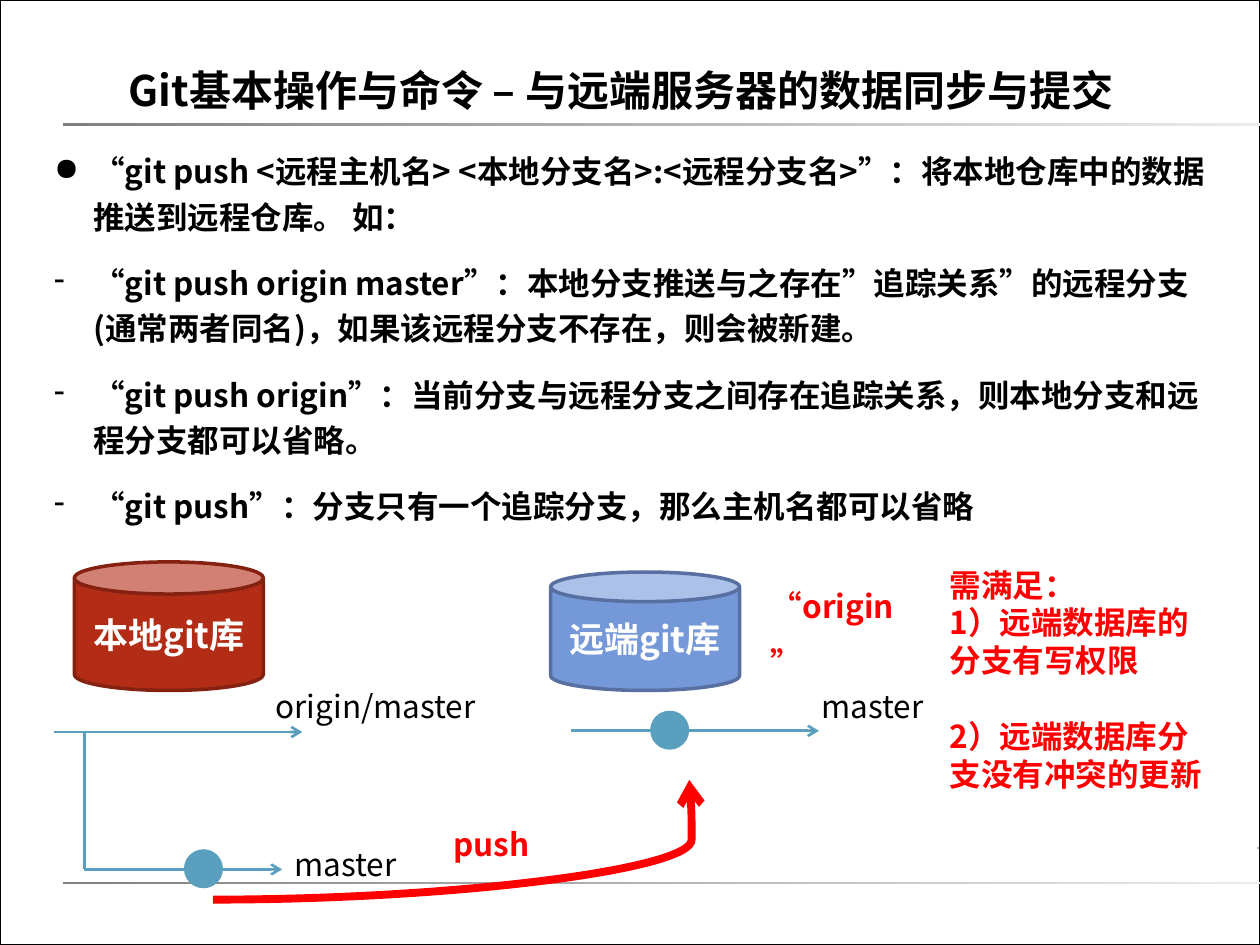
import pptx
import pptx.util
import pptx.dml.color
import pptx.enum.shapes
import pptx.enum.text
import pptx.oxml.ns
from lxml import etree

Pt = pptx.util.Pt
RGB = pptx.dml.color.RGBColor.from_string
SHAPE = pptx.enum.shapes.MSO_SHAPE
CONNECTOR = pptx.enum.shapes.MSO_CONNECTOR
ALIGN = pptx.enum.text.PP_ALIGN
ANCHOR = pptx.enum.text.MSO_ANCHOR
qn = pptx.oxml.ns.qn

THEME = {
    "font": "Noto Sans CJK SC",
    "title": 24, "store": 20, "text": 18,
    "ink": "000000", "paper": "FFFFFF", "accent": "FF0000", "branch": "5AA0BE",
    "rule": "808080", "rule_end": "EBEBEB", "tick_end": "D7D7D7",
    "local": ("B32C16", "842110"), "remote": ("7598D9", "5770A1"),
}

deck = pptx.Presentation()
deck.slide_width, deck.slide_height = pptx.util.Inches(10), pptx.util.Inches(7.5)
slide = deck.slides.add_slide(deck.slide_layouts[5])
shapes = slide.shapes
slide.background.fill.solid()
slide.background.fill.fore_color.rgb = RGB(THEME["paper"])


def grid(*cells):
    """Lengths on a grid of 100 columns by 75 rows."""
    return [round(cell * deck.slide_width / 100) for cell in cells]


def write(frame, lines, size="text", color="ink", bold=True, spacing=1.0,
          before=0, align=ALIGN.LEFT, inset=None, anchor=ANCHOR.TOP, hanging=0):
    frame.word_wrap = True
    frame.auto_size = pptx.enum.text.MSO_AUTO_SIZE.NONE
    frame.vertical_anchor = anchor
    if inset is not None:
        frame.margin_left = frame.margin_right = inset
        frame.margin_top = frame.margin_bottom = inset
    frame.text = "\n".join(lines)
    for paragraph in frame.paragraphs:
        paragraph.alignment = align
        paragraph.line_spacing = spacing
        paragraph.space_before = Pt(before)
        font = paragraph.font
        font.size, font.bold, font.name = Pt(THEME[size]), bold, THEME["font"]
        font.color.rgb = RGB(THEME[color])
        properties = paragraph.runs[0].font
        properties.name = THEME["font"]
        east_asian = etree.SubElement(paragraph.runs[0]._r.rPr, qn("a:ea"))
        east_asian.set("typeface", THEME["font"])
        if hanging:
            indent = grid(hanging)[0]
            paragraph._p.pPr.set("marL", str(indent))
            paragraph._p.pPr.set("indent", str(-indent))


# Page border
border = shapes.add_shape(SHAPE.RECTANGLE, *grid(0, 0, 100, 75))
border.shadow.inherit = False
border.fill.background()
border.line.color.rgb = RGB(THEME["ink"])
border.line.width = Pt(1)

# Fading rules
for cells, end in [((99.8, 67.2, 0.1, 0.2), "tick_end"),
                   ((5, 9.8, 95.3, 0.2), "rule_end"),
                   ((5, 70, 95.3, 0.2), "rule_end")]:
    rule = shapes.add_shape(SHAPE.RECTANGLE, *grid(*cells))
    rule.shadow.inherit = False
    rule.line.fill.background()
    rule.fill.gradient()
    rule.fill.gradient_angle = 0
    for stop, color in zip(rule.fill.gradient_stops, ("rule", end)):
        stop.color.rgb = RGB(THEME[color])

# Title
title = shapes.title
title.left, title.top, title.width, title.height = grid(10.2, 5.1, 89.8, 4)
write(title.text_frame, ["Git基本操作与命令 – 与远端服务器的数据同步与提交"], "title",
      spacing=1.2, before=12, inset=0, anchor=ANCHOR.BOTTOM, hanging=3.1)

# Push command forms
commands = shapes.add_textbox(*grid(4.3, 11.5, 92.9, 32.3)).text_frame
write(commands, [
    "“git push <远程主机名> <本地分支名>:<远程分支名>”：将本地仓库中的数据推送到远程仓库。 如：",
    "“git push origin master”：本地分支推送与之存在”追踪关系”的远程分支(通常两者同名)，如果该远程分支不存在，则会被新建。",
    "“git push origin”：当前分支与远程分支之间存在追踪关系，则本地分支和远程分支都可以省略。",
    "“git push”：分支只有一个追踪分支，那么主机名都可以省略",
], spacing=1.2, before=12, inset=0, hanging=3.1)
for paragraph, mark in zip(commands.paragraphs, "●---"):
    etree.SubElement(paragraph._p.pPr, qn("a:buChar")).set("char", mark)

# Conditions for pushing
conditions = shapes.add_textbox(*grid(74.4, 44.4, 22.8, 19.2)).text_frame
write(conditions, ["需满足：", "1）远端数据库的分支有写权限", "2）远端数据库分支没有冲突的更新"],
      color="accent")
conditions.paragraphs[2].space_before = Pt(21.6)

# Repositories
for cells, label, colors in [((5.9, 44.6, 15, 10.2), "本地git库", "local"),
                             ((43.7, 45.4, 15, 9.4), "远端git库", "remote")]:
    store = shapes.add_shape(SHAPE.CAN, *grid(*cells))
    store.shadow.inherit = False
    fill, outline = THEME[colors]
    store.fill.solid()
    store.fill.fore_color.rgb = RGB(fill)
    store.line.color.rgb = RGB(outline)
    store.line.width = Pt(2)
    write(store.text_frame, [label], "store", "paper", align=ALIGN.CENTER,
          inset=0, anchor=ANCHOR.MIDDLE)

# Branch lines and the push arrow
for kind, ends, color, width, arrow in [
    (CONNECTOR.STRAIGHT, (45.3, 58, 65, 58), "branch", 1.5, True),
    (CONNECTOR.STRAIGHT, (4.3, 58.1, 24, 58.1), "branch", 1.5, True),
    (CONNECTOR.STRAIGHT, (6.7, 69, 22.4, 69), "branch", 1.5, True),
    (CONNECTOR.STRAIGHT, (6.7, 58, 6.7, 69), "branch", 1.5, False),
    (CONNECTOR.CURVE, (16.9, 71.4, 54.7, 61.9), "accent", 4.5, True),
]:
    link = shapes.add_connector(kind, *grid(*ends))
    link.line.color.rgb = RGB(THEME[color])
    link.line.width = Pt(width)
    if arrow:
        etree.SubElement(link.line._get_or_add_ln(), qn("a:tailEnd")).set("type", "arrow")
    etree.SubElement(link._element.spPr, qn("a:effectLst"))
    if kind == CONNECTOR.CURVE:
        bend = etree.SubElement(link._element.spPr.find(".//" + qn("a:avLst")), qn("a:gd"))
        bend.set("name", "adj1")
        bend.set("fmla", "val 100500")

# Commits
for left, top in [(51.6, 56.4), (14.6, 67.4)]:
    commit = shapes.add_shape(SHAPE.OVAL, *grid(left, top, 3.1, 3.1))
    commit.shadow.inherit = False
    commit.fill.solid()
    commit.fill.fore_color.rgb = RGB(THEME["branch"])
    commit.line.fill.background()

# Diagram labels
for cells, label, color in [
    ((60.2, 44.6, 14.2, 5.5), "“origin”", "accent"),
    ((64.2, 52.5, 14.2, 4.7), "master", "ink"),
    ((20.9, 52.5, 22, 3.9), "origin/master", "ink"),
    ((22.4, 65.1, 14.2, 4.7), "master", "ink"),
    ((35, 63.5, 14.2, 5.5), "push", "accent"),
]:
    caption = shapes.add_textbox(*grid(*cells)).text_frame
    write(caption, [label], color=color, bold=color == "accent", spacing=1.5)

deck.save("out.pptx")
